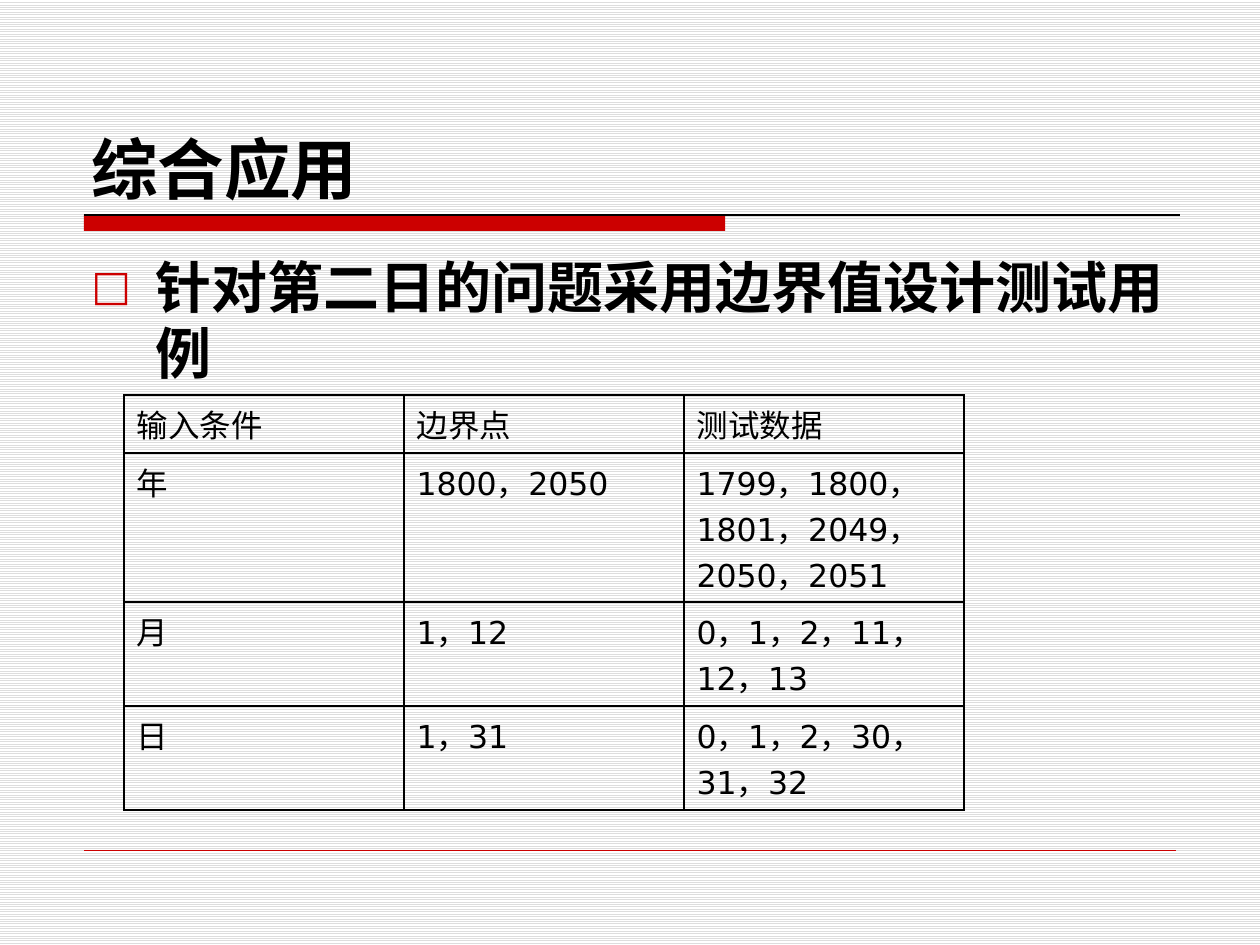
import pptx
import pptx.util
import pptx.dml.color
import pptx.enum.dml
import pptx.enum.shapes
import pptx.enum.text
import pptx.oxml
import pptx.oxml.ns
import lxml.etree

COLORS = {"ink": "000000", "accent": "CC0000", "stripe": "DDDDDD", "paper": "FFFFFF"}
LATIN, CJK = "DejaVu Sans", "Noto Sans CJK SC"
CASES = [
    ["输入条件", "边界点", "测试数据"],
    ["年", "1800，2050", "1799，1800，1801，2049，2050，2051"],
    ["月", "1，12", "0，1，2，11，12，13"],
    ["日", "1，31", "0，1，2，30，31，32"],
]
ROW_HEIGHTS = [58, 149, 104, 104]


def px(value):
    return pptx.util.Emu(round(value * 914400 / 126))


def rgb(name):
    return pptx.dml.color.RGBColor.from_string(COLORS[name])


def add_element(parent, tag, **attributes):
    element = lxml.etree.SubElement(parent, pptx.oxml.ns.qn(tag))
    for key, value in attributes.items():
        element.set(key, value)
    return element


def add_text(paragraph, wording, size, font=LATIN, bold=False):
    run = paragraph.add_run()
    run.text = wording
    run.font.size = pptx.util.Pt(size)
    run.font.bold = bold
    run.font.color.rgb = rgb("ink")
    run.font.name = font
    add_element(run.font._element, "a:ea", typeface=CJK)


def add_frame(slide, left, top, width, height, inset_top, inset_bottom):
    frame = slide.shapes.add_textbox(px(left), px(top), px(width), px(height)).text_frame
    frame.word_wrap = True
    frame.margin_top, frame.margin_bottom = px(inset_top), px(inset_bottom)
    return frame


def add_rule(slide, left, top, width, color, weight):
    rule = slide.shapes.add_connector(
        pptx.enum.shapes.MSO_CONNECTOR.STRAIGHT, px(left), px(top), px(left + width), px(top))
    rule.line.color.rgb = rgb(color)
    rule.line.width = pptx.util.Pt(weight)
    add_element(rule._element.spPr, "a:effectLst")


def add_background(slide):
    fill = slide.background.fill
    fill.patterned()
    fill.pattern = pptx.enum.dml.MSO_PATTERN.LIGHT_HORIZONTAL
    fill.fore_color.rgb = rgb("stripe")
    fill.back_color.rgb = rgb("paper")


def add_divider(slide, left, top, width, height):
    bar = slide.shapes.add_shape(
        pptx.enum.shapes.MSO_SHAPE.RECTANGLE, px(left), px(top), px(width * 0.585), px(height))
    bar.shadow.inherit = False
    bar.fill.solid()
    bar.fill.fore_color.rgb = rgb("accent")
    bar.line.fill.background()
    add_rule(slide, left, top, width, "ink", 0.75)


def add_title(slide, left, top, width, height):
    frame = add_frame(slide, left, top, width, height, 6, 1)
    frame.vertical_anchor = pptx.enum.text.MSO_ANCHOR.BOTTOM
    add_text(frame.paragraphs[0], "综合应用", 38, CJK, True)


def add_body(slide, left, top, width, height):
    paragraph = add_frame(slide, left, top, width, height, 11, 6).paragraphs[0]
    paragraph.line_spacing = pptx.util.Pt(38)
    properties = paragraph._p.get_or_add_pPr()
    properties.set("marL", str(px(64)))
    properties.set("indent", str(px(-64)))
    add_element(add_element(properties, "a:buClr"), "a:srgbClr", val=COLORS["accent"])
    add_element(properties, "a:buSzPct", val="75000")
    add_element(properties, "a:buFont", typeface=LATIN)
    add_element(properties, "a:buChar", char="□")
    add_text(paragraph, "针对第二日的问题采用边界值设计测试用例", 32, bold=True)


def add_borders(cell):
    properties = cell._tc.get_or_add_tcPr()
    for index, side in enumerate(("a:lnL", "a:lnR", "a:lnT", "a:lnB")):
        border = add_element(properties, side, w=str(pptx.util.Pt(1)))
        add_element(add_element(border, "a:solidFill"), "a:srgbClr", val=COLORS["ink"])
        properties.remove(border)
        properties.insert(index, border)


def add_cases(slide, left, top, width):
    columns = len(CASES[0])
    table = slide.shapes.add_table(
        len(CASES), columns, px(left), px(top), px(width), px(sum(ROW_HEIGHTS))).table
    table.first_row = table.horz_banding = False
    for column in table.columns:
        column.width = px(width / columns)
    for row, height, case in zip(table.rows, ROW_HEIGHTS, CASES):
        row.height = px(height)
        for cell, wording in zip(row.cells, case):
            cell.fill.background()
            add_borders(cell)
            add_text(cell.text_frame.paragraphs[0], wording, 18)


def main():
    deck = pptx.Presentation()
    deck.slide_width, deck.slide_height = px(1260), px(945)
    slide = deck.slides.add_slide(deck.slide_layouts[6])
    add_background(slide)
    add_divider(slide, 84, 215, 1096, 16)
    add_rule(slide, 84, 850, 1092, "accent", 0.25)
    add_title(slide, 79, 42, 1102, 167)
    add_body(slide, 79, 242, 1102, 588)
    add_cases(slide, 124, 395, 840)
    deck.save("out.pptx")


if __name__ == "__main__":
    main()
